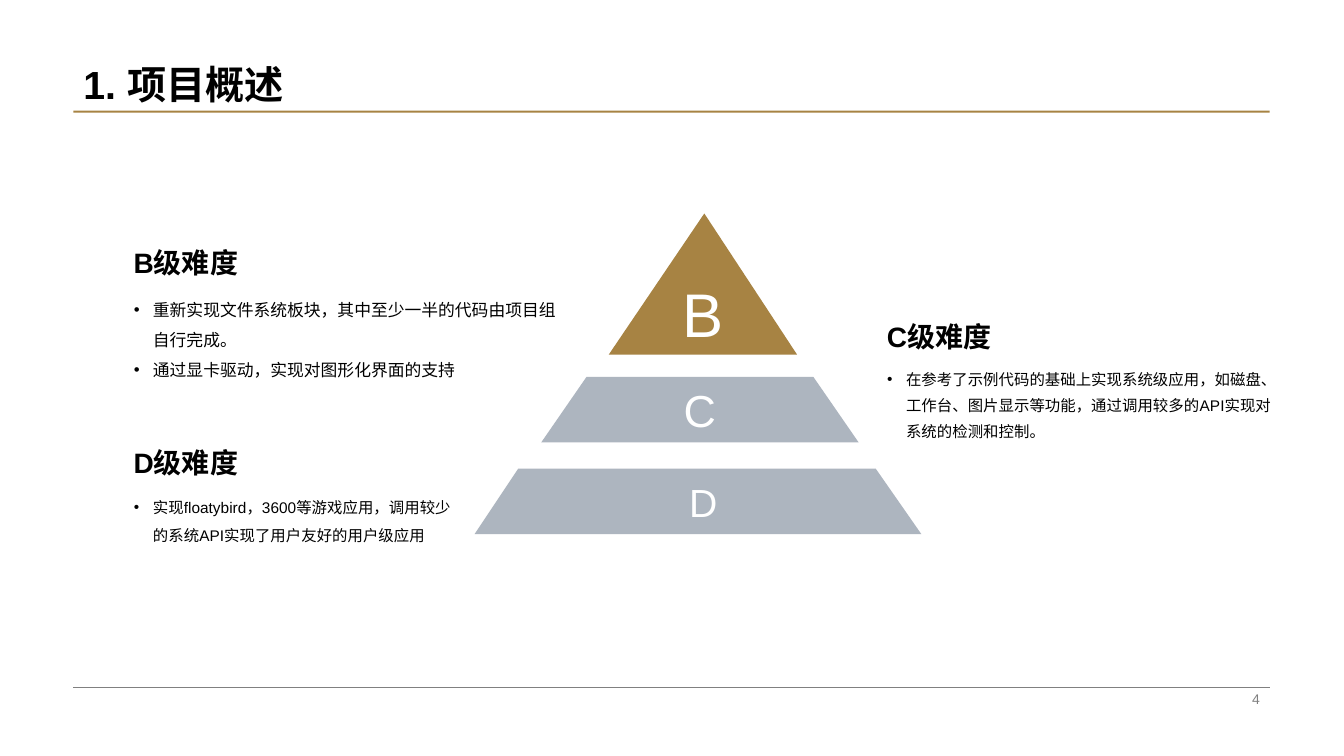
import dataclasses

import pptx
import pptx.dml.color
import pptx.enum.shapes
import pptx.enum.text
import pptx.oxml
import pptx.oxml.ns
import pptx.util

Cm = pptx.util.Cm
Align = pptx.enum.text.PP_ALIGN
Anchor = pptx.enum.text.MSO_ANCHOR


@dataclasses.dataclass(frozen=True)
class Theme:
    font: str = "Arial"
    gold: str = "A78343"
    steel: str = "ADB5BF"
    gray: str = "808080"
    black: str = "000000"
    white: str = "FFFFFF"
    title: int = 28
    head: int = 20
    page: int = 10


THEME = Theme()
LEFT, WIDTH = 1.85, 30.15
HEAD_HIGH = 1.22

# label, type size, fill, anchor, corners in cm
TIERS = [
    ("B", 44, THEME.gold, Anchor.BOTTOM,
     [(15.34, 8.94), (17.75, 5.38), (20.09, 8.94)]),
    ("C", 32, THEME.steel, Anchor.MIDDLE,
     [(13.64, 11.15), (14.78, 9.5), (20.5, 9.5), (21.64, 11.15)]),
    (" D", 28, THEME.steel, Anchor.MIDDLE,
     [(11.96, 13.46), (13.06, 11.81), (22.07, 11.81), (23.22, 13.46)]),
]

# placeholder index, heading, left, top, width, list height, type size, spacing, items
LEVELS = [
    (1, "B级难度", 3.12, 5.94, 11.35, 3.07, 12, 1.5,
     ["重新实现文件系统板块，其中至少一半的代码由项目组自行完成。",
      "通过显卡驱动，实现对图形化界面的支持"]),
    (2, "C级难度", 22.1, 7.8, 10.49, 2.16, 11, 1.4,
     ["在参考了示例代码的基础上实现系统级应用，如磁盘、工作台、图片显示等功能，"
      "通过调用较多的API实现对系统的检测和控制。"]),
    (4, "D级难度", 3.12, 10.97, 8.81, 2.49, 11, 1.5,
     ["实现floatybird，3600等游戏应用，调用较少的系统API实现了用户友好的用户级应用"]),
]


def paint(color, value):
    color.rgb = pptx.dml.color.RGBColor.from_string(value)


def place(shape, left, top, width, height):
    shape.left, shape.top = Cm(left), Cm(top)
    shape.width, shape.height = Cm(width), Cm(height)


def set_frame(shape, anchor):
    frame = shape.text_frame
    frame.word_wrap = True
    frame.auto_size = pptx.enum.text.MSO_AUTO_SIZE.NONE
    frame.vertical_anchor = anchor
    return frame


def add_run(para, text, size, color, bold=False, align=Align.LEFT):
    para.alignment = align
    run = para.add_run()
    run.text = text
    run.font.name = THEME.font
    run.font.size = pptx.util.Pt(size)
    run.font.bold = bold
    paint(run.font.color, color)


def add_label(slide, box, text, size, color, anchor, bold=False, align=Align.LEFT):
    shape = slide.shapes.add_textbox(*map(Cm, box))
    frame = set_frame(shape, anchor)
    add_run(frame.paragraphs[0], text, size, color, bold, align)


def fill_flat(shape, color):
    """Give a shape a plain fill without outline or shadow."""
    shape.shadow.inherit = False
    shape.fill.solid()
    paint(shape.fill.fore_color, color)
    shape.line.fill.background()


def add_rules(slide):
    """Draw the bar under the title and the line above the page number."""
    bar = slide.shapes.add_shape(
        pptx.enum.shapes.MSO_SHAPE.RECTANGLE, *map(Cm, (LEFT, 2.79, WIDTH, 0.05)))
    fill_flat(bar, THEME.gold)
    foot = slide.shapes.add_connector(
        pptx.enum.shapes.MSO_CONNECTOR.STRAIGHT,
        *map(Cm, (LEFT, 17.32, LEFT + WIDTH, 17.32)))
    paint(foot.line.color, THEME.gray)
    foot.line.width = pptx.util.Pt(0.5)
    props = foot.element.find(pptx.oxml.ns.qn("p:spPr"))
    props.append(pptx.oxml.parse_xml(
        f'<a:effectLst {pptx.oxml.ns.nsdecls("a")}/>'))


def add_title(slide, text):
    title = slide.shapes.title
    place(title, LEFT, 0, WIDTH, 2.84)
    para = set_frame(title, Anchor.BOTTOM).paragraphs[0]
    para.line_spacing = 0.9
    add_run(para, text, THEME.title, THEME.black, True)


def add_tier(slide, text, size, color, anchor, points):
    start, *rest = [(Cm(x), Cm(y)) for x, y in points]
    form = slide.shapes.build_freeform(*start)
    form.add_line_segments(rest, close=True)
    tier = form.convert_to_shape()
    fill_flat(tier, color)
    para = set_frame(tier, anchor).paragraphs[0]
    add_run(para, text, size, THEME.white, align=Align.CENTER)


def add_bullet(para):
    props = para._p.get_or_add_pPr()
    props.set("marL", str(Cm(0.48)))
    props.set("indent", str(-Cm(0.48)))
    props.append(pptx.oxml.parse_xml(
        f'<a:buChar {pptx.oxml.ns.nsdecls("a")} char="•"/>'))


def add_level(slide, index, head, left, top, width, height, size, gap, items):
    """Set a heading with its list right below it."""
    add_label(slide, (left, top, width, HEAD_HIGH), head, THEME.head,
              THEME.black, Anchor.BOTTOM, bold=True)
    body = slide.placeholders[index]
    place(body, left, top + HEAD_HIGH, width, height)
    frame = set_frame(body, Anchor.TOP)
    for rank, item in enumerate(items):
        para = frame.add_paragraph() if rank else frame.paragraphs[0]
        para.line_spacing = gap
        para.space_before = pptx.util.Pt(0)
        add_bullet(para)
        add_run(para, item, size, THEME.black)


def drop_spare(slide):
    """Remove placeholders that hold no text."""
    for holder in list(slide.placeholders):
        if not holder.text_frame.text:
            holder.element.getparent().remove(holder.element)


def main():
    deck = pptx.Presentation()
    deck.slide_width, deck.slide_height = Cm(33.87), Cm(19.05)
    slide = deck.slides.add_slide(deck.slide_layouts.get_by_name("Comparison"))
    add_rules(slide)
    add_title(slide, "1. 项目概述")
    add_label(slide, (23.93, 17.32, 8.07, 0.58), "4", THEME.page,
              THEME.gray, Anchor.MIDDLE, align=Align.RIGHT)
    for tier in TIERS:
        add_tier(slide, *tier)
    for level in LEVELS:
        add_level(slide, *level)
    drop_spare(slide)
    deck.save("out.pptx")


if __name__ == "__main__":
    main()
